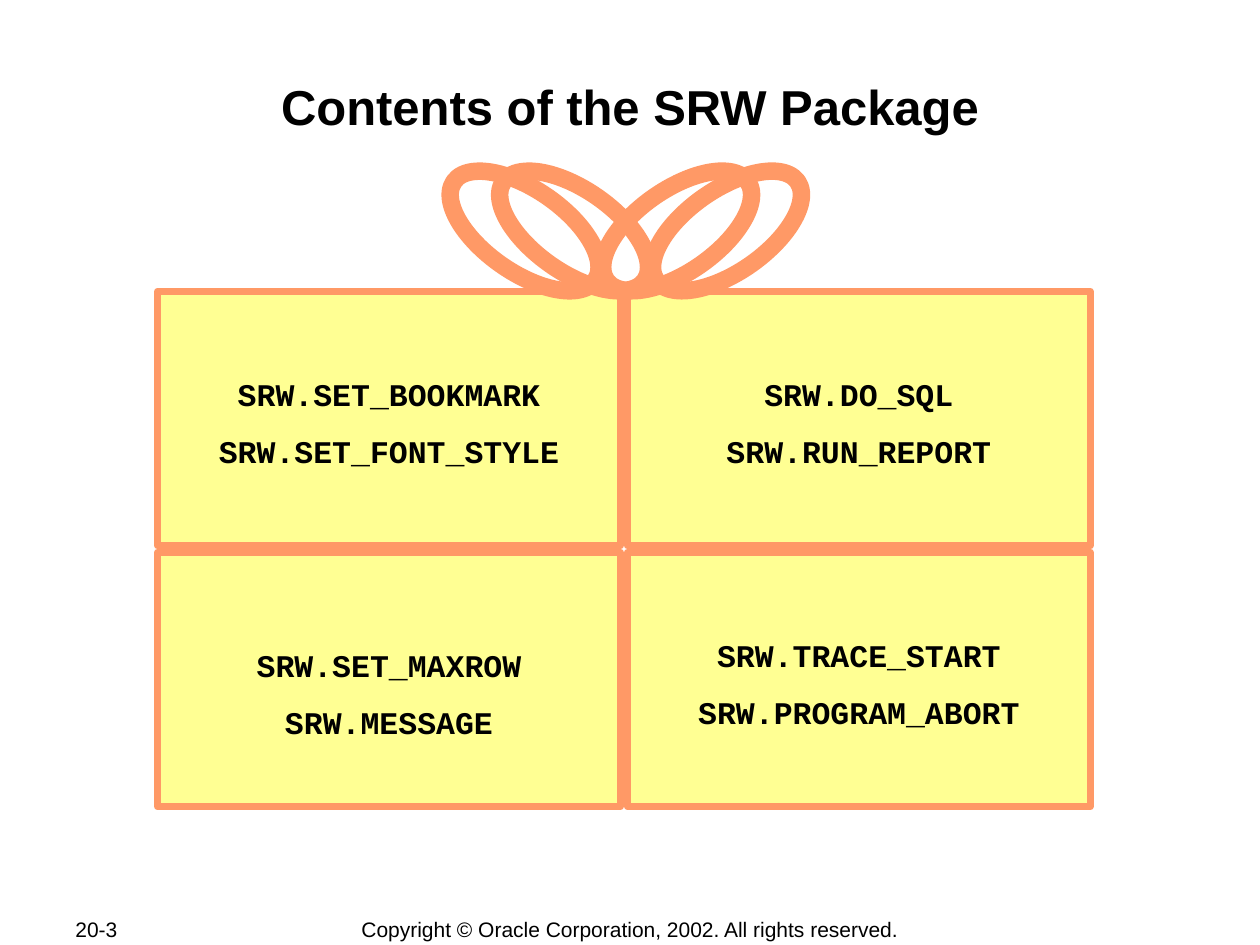
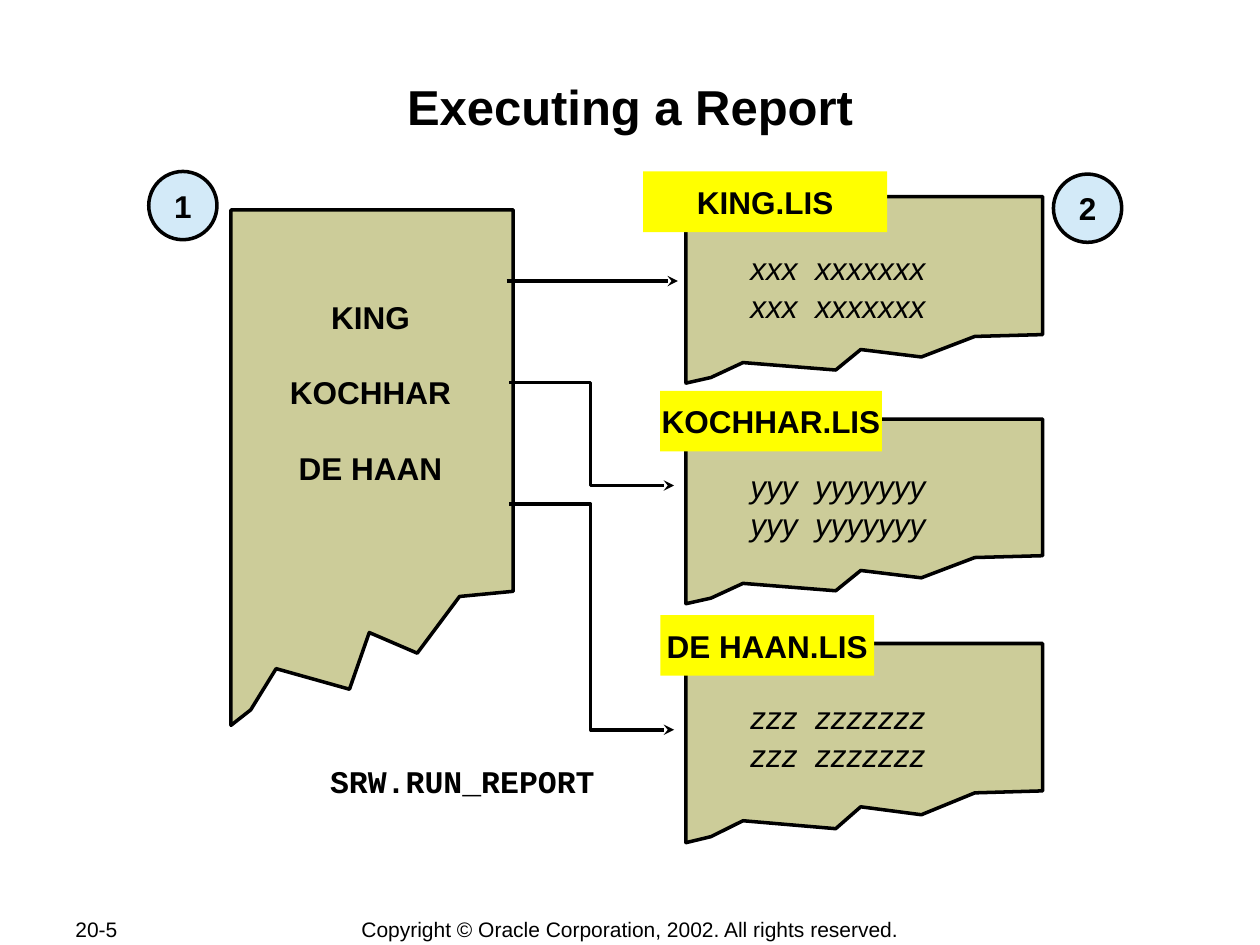
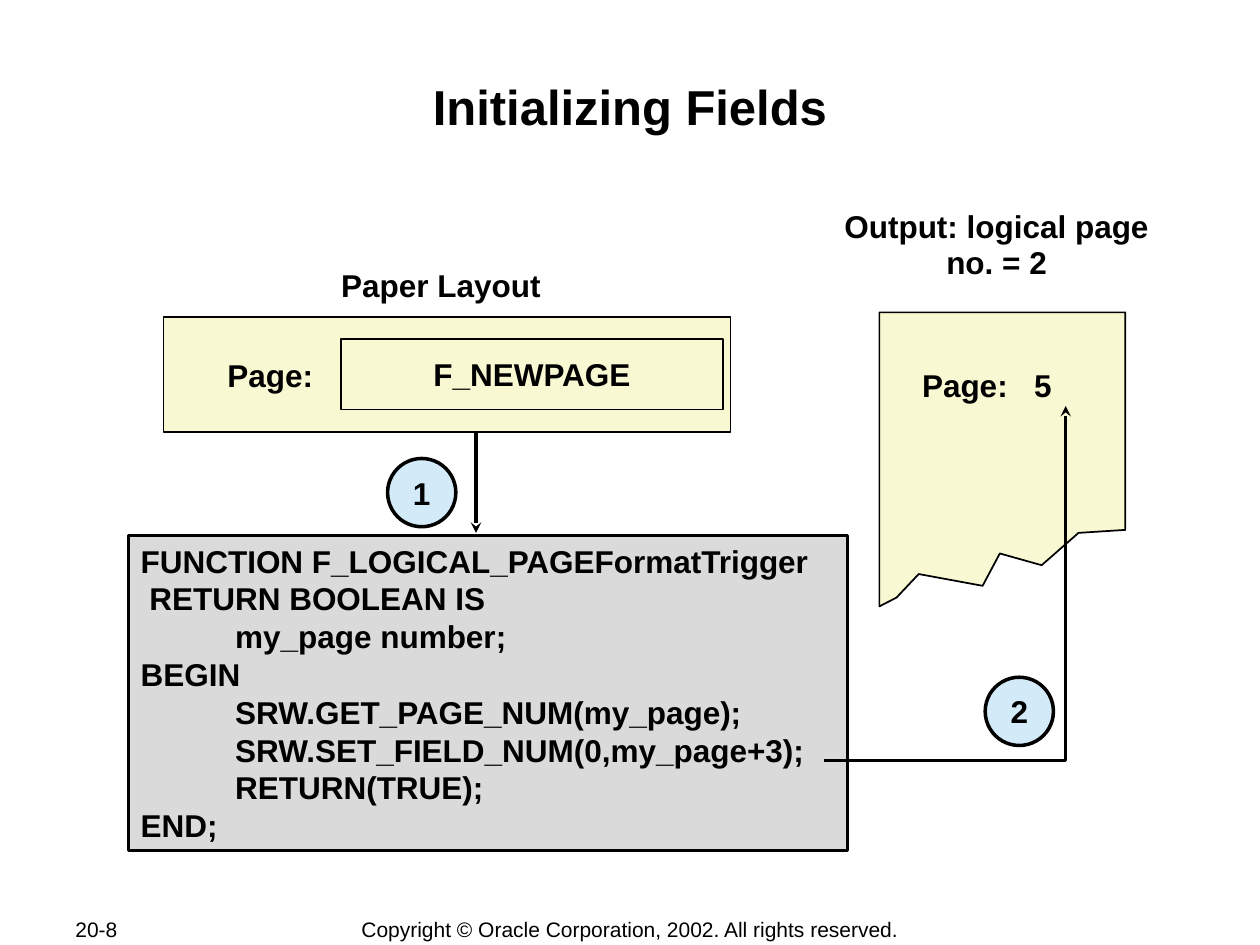
from lxml.etree import SubElement as Sub
from pptx import Presentation
from pptx.dml.color import RGBColor as Rgb
from pptx.enum.shapes import MSO_CONNECTOR as Link, MSO_SHAPE as Kind
from pptx.enum.text import MSO_ANCHOR as Anchor, MSO_AUTO_SIZE as Fit, PP_ALIGN as Align
from pptx.oxml.ns import qn
from pptx.util import Pt

INK = {
    "black": "000000", "gift": "FFFF93", "bow": "FF9966", "sheet": "CCCC99",
    "tag": "FFFF00", "badge": "D3EAF8", "code": "DADADA", "cream": "F8F8D3",
}
SANS, MONO = "Arial", "Courier New"
LEAD = 1.2  # line height as a share of the text size
RIGHTS = "Copyright © Oracle Corporation, 2002. All rights reserved."

# Outline of a torn sheet, as shares of its width and height
TORN = [(0, 1), (0, 0), (1, 0), (1, 0.74), (0.81, 0.75), (0.66, 0.86),
        (0.49, 0.82), (0.42, 0.93), (0.16, 0.89), (0.07, 0.97)]


def ink(name):
    return Rgb.from_string(INK[name])


def write(frame, text, size=18, font=SANS, bold=True, italic=False,
          align=Align.CENTER, anchor=Anchor.MIDDLE, side=0, top=3.6, low=3.6,
          gap=0, lead=LEAD, tab=None):
    """Fill a text frame, one paragraph for each line of text."""
    frame.word_wrap = True
    frame.auto_size = Fit.NONE
    frame.vertical_anchor = anchor
    frame.margin_left = frame.margin_right = Pt(side)
    frame.margin_top, frame.margin_bottom = Pt(top), Pt(low)
    for i, line in enumerate(text.split("\n")):
        para = frame.add_paragraph() if i else frame.paragraphs[0]
        para.alignment = align
        para.line_spacing = Pt(size * lead)
        para.space_before = Pt(gap if i else 0)
        if tab:
            stops = Sub(para._p.get_or_add_pPr(), qn("a:tabLst"))
            Sub(stops, qn("a:tab"), pos=str(Pt(tab)), algn="l")
        run = para.add_run()
        run.text = line
        run.font.name, run.font.size = font, Pt(size)
        run.font.bold, run.font.italic = bold, italic
        run.font.color.rgb = ink("black")


class Deck:
    def __init__(self):
        self.file = Presentation()
        self.file.slide_width, self.file.slide_height = Pt(720), Pt(540)
        self.slide = None

    def page(self, title, number):
        """Start a slide with its title and footer."""
        self.slide = self.file.slides.add_slide(self.file.slide_layouts[5])
        head = self.slide.shapes.title
        head.left, head.top, head.width, head.height = map(Pt, (72, 43, 576, 68))
        write(head.text_frame, title, size=28, anchor=Anchor.TOP, top=0.7)
        foot = dict(size=12, bold=False, top=0, low=0)
        self.text((36, 524, 76, 14.4), number, align=Align.LEFT, side=7.2, **foot)
        self.text((198.5, 524, 323, 14.4), RIGHTS, **foot)

    def paint(self, shape, fill=None, line=None, width=2):
        shape.shadow.inherit = False
        if fill:
            shape.fill.solid()
            shape.fill.fore_color.rgb = ink(fill)
        else:
            shape.fill.background()
        if line:
            shape.line.color.rgb = ink(line)
            shape.line.width = Pt(width)
        else:
            shape.line.fill.background()

    def text(self, area, text, **fmt):
        box = self.slide.shapes.add_textbox(*map(Pt, area))
        write(box.text_frame, text, **fmt)

    def shape(self, kind, area, text="", fill=None, line=None, width=2, turn=0, **fmt):
        shape = self.slide.shapes.add_shape(kind, *map(Pt, area))
        shape.rotation = turn
        self.paint(shape, fill, line, width)
        if text:
            write(shape.text_frame, text, **fmt)

    def badge(self, x, y, text):
        self.shape(Kind.OVAL, (x, y, 39, 39), text, "badge", "black")

    def trace(self, points, close):
        first, *rest = [(Pt(x), Pt(y)) for x, y in points]
        form = self.slide.shapes.build_freeform(*first)
        form.add_line_segments(rest, close=close)
        return form.convert_to_shape()

    def sheet(self, x, y, wide, high, fill, width=2):
        points = [(x + u * wide, y + v * high) for u, v in TORN]
        self.paint(self.trace(points, True), fill, "black", width)

    def arrow(self, *points):
        """Draw a line through the points with its head at the last."""
        if len(points) == 2:
            ends = [Pt(n) for point in points for n in point]
            line = self.slide.shapes.add_connector(Link.STRAIGHT, *ends)
            line.line.color.rgb = ink("black")
            line.line.width = Pt(2)
            Sub(line._element.spPr, qn("a:effectLst"))
        else:
            line = self.trace(points, False)
            self.paint(line, line="black")
        Sub(line.line._get_or_add_ln(), qn("a:tailEnd"), type="stealth")


def gift(deck):
    deck.page("Contents of the SRW Package", "20-3")
    # Four panels; the third has its text set lower
    panels = [
        ("SRW.SET_BOOKMARK\nSRW.SET_FONT_STYLE", 8),
        ("SRW.DO_SQL\nSRW.RUN_REPORT", 8),
        ("SRW.SET_MAXROW\nSRW.MESSAGE", 19.5),
        ("SRW.TRACE_START\nSRW.PROGRAM_ABORT", 8),
    ]
    for i, (text, top) in enumerate(panels):
        row, col = divmod(i, 2)
        deck.shape(Kind.RECTANGLE, (90 + col * 268.5, 166.5 + row * 149, 264.5, 145.5),
                   text, "gift", "bow", 4, font=MONO, gap=11.2, top=top)
    # Bow
    for x, turn in ((250.5, 35), (337.7, 325), (278.8, 35), (366.2, 325)):
        deck.shape(Kind.OVAL, (x, 108.5, 98.5, 47), line="bow", width=10, turn=turn)


def report(deck):
    deck.page("Executing a Report", "20-5")
    # Source list
    deck.sheet(132, 120, 161.3, 294.5, "sheet")
    deck.text((144, 150, 135.4, 148), "KING\nKOCHHAR\nDE HAAN", gap=21.6)
    deck.text((181.5, 432, 170, 29), "SRW.RUN_REPORT", font=MONO,
              align=Align.LEFT, anchor=Anchor.TOP, side=7.2)
    # Output files: name, letter, sheet top and height, tag box, text top
    files = [
        ("KING", "x", 112.3, 106.6, (367.5, 98, 139.5, 34.6), 139),
        ("KOCHHAR", "y", 239.5, 105.5, (377.3, 223.3, 126.7, 34.6), 263.5),
        ("DE HAAN", "z", 367.7, 113.8, (377.3, 351.5, 122.2, 34.6), 395.3),
    ]
    for name, mark, top, high, tag, low in files:
        deck.sheet(392, top, 203.8, high, "sheet")
        deck.shape(Kind.RECTANGLE, tag, name + ".LIS", "tag")
        line = mark * 3 + "\t" + mark * 7
        deck.text((421.8, low, 130, 50), line + "\n" + line, bold=False, italic=True,
                  align=Align.LEFT, anchor=Anchor.TOP, side=7.2, tab=37)
    # Arrows and steps
    deck.arrow((289.5, 160.6), (387.4, 160.6))
    for y, end in ((218.7, 277.4), (288, 417)):
        deck.arrow((291, y), (337.5, y), (337.5, end), (385.2, end))
    deck.badge(85, 98, "1")
    deck.badge(602, 99.5, "2")


def fields(deck):
    deck.page("Initializing Fields", "20-8")
    note = dict(anchor=Anchor.TOP, lead=1.14, side=7.2)
    # Paper layout
    deck.text((162, 149.8, 180, 28), "Paper Layout", **note)
    deck.shape(Kind.RECTANGLE, (93.5, 181, 324, 66), "Page:", "cream", "black", 1,
               align=Align.LEFT, side=36.5)
    deck.shape(Kind.RECTANGLE, (195, 193.7, 218, 40.3), "F_NEWPAGE", "cream", "black", 1)
    # Trigger code
    code = """FUNCTION F_LOGICAL_PAGEFormatTrigger
 RETURN BOOLEAN IS
\tmy_page number;
BEGIN
\tSRW.GET_PAGE_NUM(my_page);
\tSRW.SET_FIELD_NUM(0,my_page+3);
\tRETURN(TRUE);
END;"""
    deck.shape(Kind.RECTANGLE, (73.3, 306, 411, 180), code, "code", "black",
               align=Align.LEFT, anchor=Anchor.TOP, side=7.2, tab=54)
    # Output page
    deck.text((473, 116, 193, 48), "Output: logical page\nno. = 2", **note)
    deck.sheet(502.5, 178.5, 140.5, 168, "cream", 1)
    deck.text((519.8, 206.6, 113.8, 28), "Page:\t5", align=Align.LEFT, tab=64, **note)
    # Arrows and steps
    deck.arrow((272, 247.5), (272, 304.5))
    deck.arrow((471, 434.6), (609, 434.6), (609, 232))
    deck.badge(221.5, 262, "1")
    deck.badge(563, 387, "2")


def main():
    deck = Deck()
    for build in (gift, report, fields):
        build(deck)
    deck.file.save("out.pptx")


if __name__ == "__main__":
    main()
